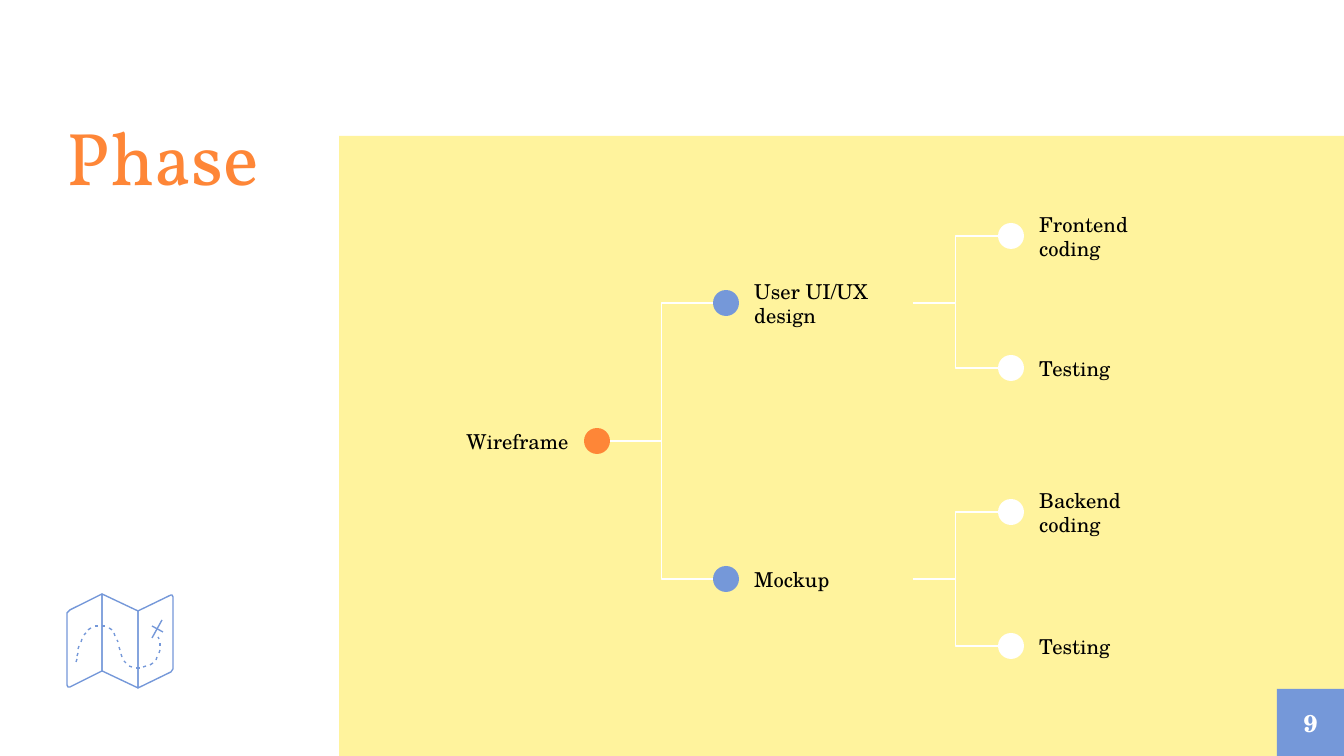
"""Build the "Phase" slide: a project tree beside a folded-map icon."""
from dataclasses import dataclass

from lxml import etree
from pptx import Presentation
from pptx.dml.color import RGBColor
from pptx.enum.shapes import MSO_CONNECTOR, MSO_SHAPE
from pptx.enum.text import MSO_ANCHOR, PP_ALIGN
from pptx.oxml.ns import qn
from pptx.util import Pt

ELBOW = MSO_CONNECTOR.ELBOW
RECT, ROUND, OVAL = MSO_SHAPE.RECTANGLE, MSO_SHAPE.ROUNDED_RECTANGLE, MSO_SHAPE.OVAL
TOP, MIDDLE = MSO_ANCHOR.TOP, MSO_ANCHOR.MIDDLE
LEFT, CENTER, RIGHT = PP_ALIGN.LEFT, PP_ALIGN.CENTER, PP_ALIGN.RIGHT

PX = 914400 / 134.4
DOT, LABEL_W, LABEL_H = 26, 174, 47
LABEL_PAD = 13
BODY, DISPLAY = "TeX Gyre Schola", "Vollkorn"
COLORS = {"yellow": "FFF39D", "orange": "FE8637", "blue": "7598D9",
          "white": "FFFFFF", "black": "000000"}


@dataclass(frozen=True)
class Node:
    """A tree dot centred at x, y with a label beside it."""
    text: str
    x: int
    y: int
    color: str
    label_left: bool = False

    @property
    def out_x(self) -> int:
        """Return where the lines to the children start."""
        return self.x + DOT // 2 + (0 if self.label_left else LABEL_W)


@dataclass(frozen=True)
class Outline:
    """A run of points, closed or open."""
    points: tuple
    closed: bool = False


ROOT = Node("Wireframe", 597, 441, "orange", True)
DESIGN = Node("User UI/UX design", 726, 303, "blue")
MOCKUP = Node("Mockup", 726, 579, "blue")
TREE = {
    ROOT: (MOCKUP, DESIGN),
    DESIGN: (Node("Frontend coding", 1011, 236, "white"),
             Node("Testing", 1011, 368, "white")),
    MOCKUP: (Node("Backend coding", 1011, 512, "white"),
             Node("Testing", 1011, 646, "white")),
}

PANELS = (
    Outline(((138, 611), (102, 594), (102, 671), (138, 688)), True),
    Outline(((102, 594), (70, 610), (67, 613), (67, 685), (68, 687),
             (70, 687), (102, 671)), True),
    Outline(((171, 595), (138, 611), (138, 688), (171, 672), (173, 669),
             (173, 597), (172, 595)), True),
)
CROSS = (Outline(((152, 626), (163, 632))), Outline(((162, 620), (152, 638))))
ROUTE = tuple(Outline(dash) for dash in (
    ((76, 662), (77, 659)), ((77, 656), (78, 653)), ((78, 649), (79, 646)),
    ((81, 642), (82, 639)), ((84, 635), (86, 633)), ((88, 630), (91, 628)),
    ((95, 626), (98, 626)), ((102, 626), (105, 626)), ((109, 628), (112, 630)),
    ((114, 633), (115, 636)), ((117, 640), (118, 642)), ((119, 647), (120, 650)),
    ((121, 654), (122, 657)), ((124, 661), (126, 663)), ((129, 666), (132, 667)),
    ((136, 668), (140, 668)), ((143, 667), (146, 666)), ((150, 665), (153, 663)),
    ((156, 660), (157, 657)), ((159, 653), (160, 650)), ((160, 646), (160, 643)),
    ((159, 639), (158, 637)),
))


def emu(px: int) -> int:
    """Turn px into EMU."""
    return round(px * PX)


def rgb(name: str) -> RGBColor:
    """Look up a named colour."""
    return RGBColor.from_string(COLORS[name])


def add_box(shapes, kind, x: int, y: int, w: int, h: int, fill: str = ""):
    """Add a borderless preset shape, unfilled when no colour is given."""
    sp = shapes.add_shape(kind, emu(x), emu(y), emu(w), emu(h))
    sp.shadow.inherit = False
    sp.line.fill.background()
    if fill:
        sp.fill.solid()
        sp.fill.fore_color.rgb = rgb(fill)
    else:
        sp.fill.background()
    return sp


def set_text(sp, text: str, size: int, color: str, font: str = BODY, align=LEFT,
             anchor=MIDDLE, pad: int = 0, bold: bool = False):
    """Write one formatted paragraph and return it."""
    tf = sp.text_frame
    tf.text = text
    tf.word_wrap = True
    tf.vertical_anchor = anchor
    tf.margin_left = tf.margin_right = tf.margin_top = tf.margin_bottom = emu(pad)
    p = tf.paragraphs[0]
    p.alignment = align
    r = p.runs[0]
    r.font.name, r.font.size, r.font.bold = font, Pt(size), bold
    r.font.color.rgb = rgb(color)
    return p


def add_outline(shapes, outline: Outline) -> None:
    """Draw one thin blue stroke of the map."""
    first, *rest = outline.points
    builder = shapes.build_freeform(*first, scale=PX)
    builder.add_line_segments(rest, close=outline.closed)
    sp = builder.convert_to_shape()
    sp.shadow.inherit = False
    sp.fill.background()
    sp.line.color.rgb = rgb("blue")
    sp.line.width = Pt(0.75)


def add_branch(shapes, parent: Node, child: Node) -> None:
    """Draw the elbow line from a parent to a child dot."""
    cxn = shapes.add_connector(ELBOW, emu(parent.out_x), emu(parent.y),
                               emu(child.x - DOT // 2), emu(child.y))
    cxn.line.color.rgb = rgb("white")
    cxn.line.width = Pt(0.75)
    etree.SubElement(cxn._element.spPr, qn("a:effectLst"))


def add_node(shapes, node: Node) -> None:
    """Draw a label and its dot as a group."""
    group = shapes.add_group_shape().shapes
    half = DOT // 2
    x = node.x - half - LABEL_W if node.label_left else node.x + half
    label = add_box(group, ROUND, x, node.y - LABEL_H // 2, LABEL_W, LABEL_H)
    set_text(label, node.text, 11, "black", pad=LABEL_PAD,
             align=RIGHT if node.label_left else LEFT)
    add_box(group, OVAL, node.x - half, node.y - half, DOT, DOT, node.color)


def main() -> None:
    """Build and save the slide."""
    prs = Presentation()
    prs.slide_width, prs.slide_height = emu(1344), emu(756)
    s = prs.slides.add_slide(prs.slide_layouts[6])
    shapes = s.shapes

    add_box(shapes, RECT, 339, 136, 1005, 620, "yellow")
    title = shapes.add_textbox(emu(67), emu(121), emu(239), emu(568))
    p = set_text(title, "Phase", 40, "orange", font=DISPLAY, anchor=TOP)
    p.line_spacing = 0.9

    icon = shapes.add_group_shape().shapes
    for outline in PANELS + CROSS + ROUTE:
        add_outline(icon, outline)

    number = add_box(shapes, RECT, 1277, 689, 67, 67, "blue")
    set_text(number, "9", 13, "white", align=CENTER, bold=True)

    for parent, children in TREE.items():
        for child in children:
            add_branch(shapes, parent, child)
    add_node(shapes, ROOT)
    for children in TREE.values():
        for child in children:
            add_node(shapes, child)

    prs.save("out.pptx")


if __name__ == "__main__":
    main()
